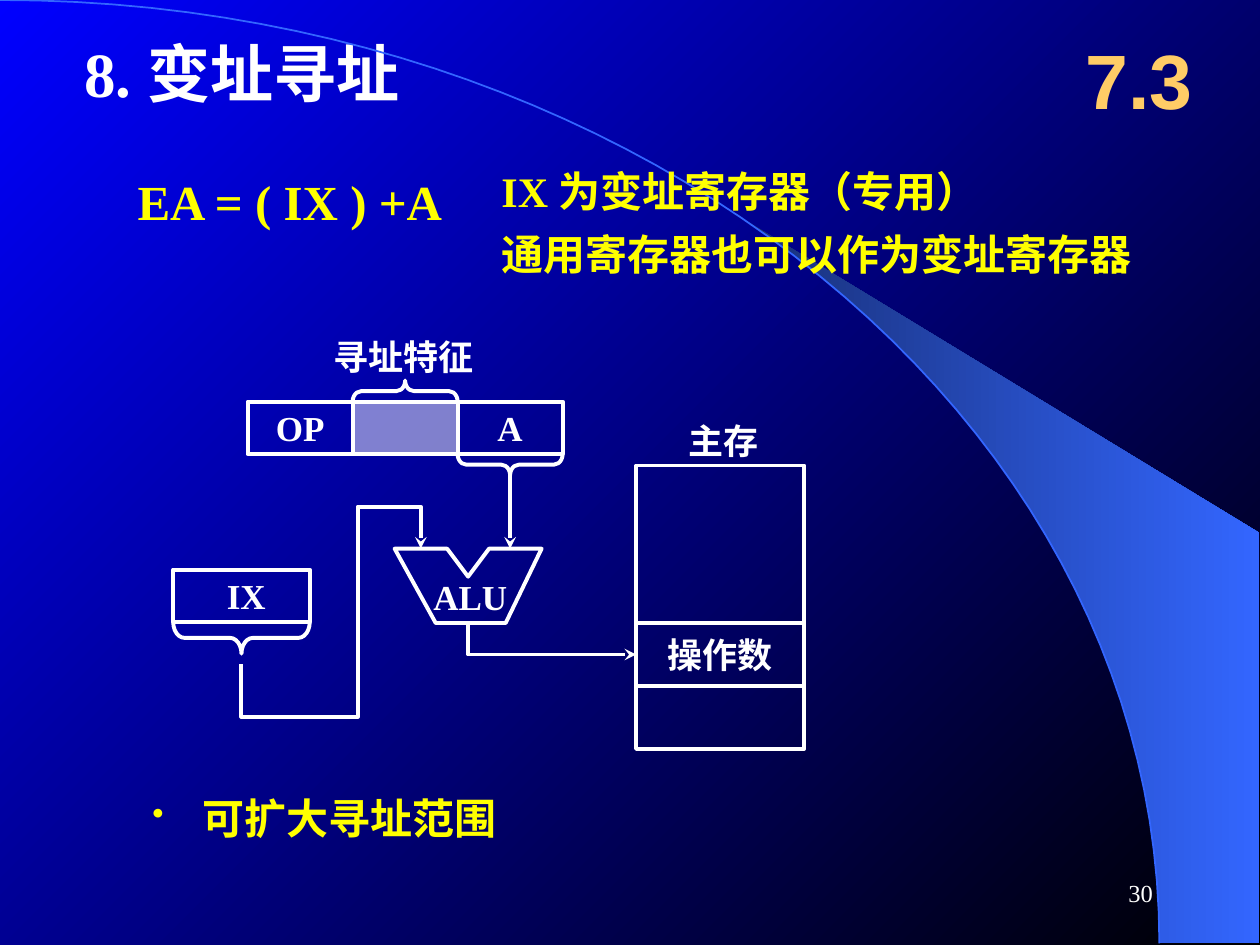
from lxml.etree import SubElement as Sub
from pptx import Presentation
from pptx.dml.color import RGBColor as Rgb
from pptx.enum.shapes import MSO_CONNECTOR as Con, MSO_SHAPE as Geo
from pptx.enum.text import MSO_ANCHOR as Anc, MSO_AUTO_SIZE as Auto, PP_ALIGN as Al
from pptx.oxml.ns import qn
from pptx.util import Pt

SERIF, WHITE, YELLOW, BLUE = "Times New Roman", "FFFFFF", "FFFF00", "3366FF"
TITLE = ("8. 变址寻址", 41, 16, 263, 50, dict(size=36))
NOTES = [
    ("EA = ( IX ) +A", 71.5, 94.5, 190, 41, dict(size=28, color=YELLOW, wrap=False)),
    ("IX 为变址寄存器（专用）", 279.5, 94.5, 402, 33, dict(size=24, color=YELLOW, space=0.9)),
    ("通用寄存器也可以作为变址寄存器", 279.5, 130.5, 402, 33, dict(size=24, color=YELLOW, space=0.9)),
    ("可扩大寻址范围", 80, 449.5, 271, 36, dict(size=24, color=YELLOW, bullet="•")),
    ("7.3", 606, 12, 90, 66, dict(size=44, color="FFCC66", font="Arial", align=Al.CENTER, anchor=Anc.MIDDLE)),
    ("30", 516, 492, 150, 36, dict(size=14, bold=False, align=Al.RIGHT, anchor=Anc.MIDDLE)),
]
LABELS = [
    ("主存", 386.5, 236, 54, 32),
    ("寻址特征", 183.5, 188, 94, 32),
    ("ALU", 240.5, 325.5, 57, 32),
    ("IX", 122.5, 324.5, 37, 32),
]
FIELDS, FX, FY, FW, FH = ["OP", "", "A"], 141.5, 229.5, 60, 30
CELLS, MX, MY, MW = [("", 90), ("操作数", 36), ("", 36)], 363.5, 266, 96
IX = (99, 325.5, 78, 30)
ALU = [(225.5, 313.5), (255.5, 313.5), (267.5, 329.5), (279.5, 313.5),
       (309.5, 313.5), (289, 356), (249, 356)]
WIRES = [
    [(267.5, 356), (267.5, 374), (MX, 374)],
    [(138, 379.5), (138, 409.5), (204.5, 409.5), (204.5, 289.5), (240.5, 289.5), (240.5, 313.5)],
]
CURVE = [(0, 0), (366, 0), (662.5, 241), (662.5, 539)]
STEPS, START = 50, 22
EDGE = [(719.5, 539), (719.5, 304.5)]


def rgb(code):
    return Rgb.from_string(code)


def blend(fill, first, last, angle):
    fill.gradient()
    fill.gradient_angle = angle
    for stop, code in zip(fill.gradient_stops, (first, last)):
        stop.color.rgb = rgb(code)


def write(shape, text, size=20, color=WHITE, font=SERIF, bold=True, wrap=True,
          align=Al.LEFT, anchor=Anc.TOP, space=None, bullet=None):
    frame = shape.text_frame
    look = dict(auto_size=Auto.NONE, word_wrap=wrap, vertical_anchor=anchor,
                margin_left=Pt(7.2), margin_right=Pt(7.2),
                margin_top=Pt(3.6), margin_bottom=Pt(3.6))
    for key, value in look.items():
        setattr(frame, key, value)
    frame.text = text
    para = frame.paragraphs[0]
    para.alignment, para.line_spacing = align, space
    if bullet:
        props = para._p.get_or_add_pPr()
        props.set("marL", str(Pt(28.5)))
        props.set("indent", str(-Pt(28.5)))
        tint = Sub(props, qn("a:buClr"))
        Sub(tint, qn("a:srgbClr"), val=color)
        Sub(props, qn("a:buSzPct"), val="80000")
        Sub(props, qn("a:buChar"), char=bullet)
    for key, value in dict(name=font, size=Pt(size), bold=bold).items():
        setattr(para.runs[0].font, key, value)
    para.runs[0].font.color.rgb = rgb(color)


def note(text, x, y, w, h, look):
    write(shapes.add_textbox(Pt(x), Pt(y), Pt(w), Pt(h)), text, **look)


def stroke(shape, color=WHITE, width=2.25, arrow=False):
    shape.line.color.rgb = rgb(color)
    shape.line.width = Pt(width)
    if arrow:
        Sub(shape._element.spPr.find(qn("a:ln")), qn("a:tailEnd"), type="stealth")


def outline(shape, **look):
    shape.shadow.inherit = False
    shape.fill.background()
    stroke(shape, **look)
    return shape


def box(x, y, w, h, text="", geo=Geo.RECTANGLE):
    shape = outline(shapes.add_shape(geo, Pt(x), Pt(y), Pt(w), Pt(h)))
    if text:
        write(shape, text, wrap=False, align=Al.CENTER, anchor=Anc.MIDDLE)
    return shape


def brace(x, y, span, depth, turn):
    shape = box(x + (span - depth) / 2, y + (depth - span) / 2, depth, span, geo=Geo.LEFT_BRACE)
    shape.rotation = turn
    shape.adjustments[0] = span / 12 / depth


def trace(points, close=False):
    spots = [(Pt(x), Pt(y)) for x, y in points]
    form = shapes.build_freeform(*spots[0])
    form.add_line_segments(spots[1:], close=close)
    return form.convert_to_shape()


def bend(t):
    parts = [(1 - t) ** 3, 3 * t * (1 - t) ** 2, 3 * t * t * (1 - t), t ** 3]
    return tuple(sum(k * p[i] for k, p in zip(parts, CURVE)) for i in (0, 1))


deck = Presentation()
deck.slide_width, deck.slide_height = Pt(720), Pt(540)
slide = deck.slides.add_slide(deck.slide_layouts[5])
shapes = slide.shapes
blend(slide.background.fill, "0000FF", "000000", 315)

arc = [bend(i / STEPS) for i in range(STEPS + 1)]
sweep = trace(arc[START:] + EDGE, close=True)
sweep.shadow.inherit = False
sweep.line.fill.background()
blend(sweep.fill, "182F76", BLUE, 0)
outline(trace(arc), color=BLUE, width=1)

text, *place, look = TITLE
head = shapes.title
head.left, head.top, head.width, head.height = map(Pt, place)
write(head, text, **look)

for i, name in enumerate(FIELDS):
    field = box(FX + i * FW, FY, FW, FH, name)
    if not name:
        field.fill.solid()
        field.fill.fore_color.rgb = rgb(WHITE)
        shade = field._element.spPr.find(qn("a:solidFill")).find(qn("a:srgbClr"))
        Sub(shade, qn("a:alpha"), val="50000")

top = MY
for name, high in CELLS:
    box(MX, top, MW, high, name)
    top += high
box(*IX)
outline(trace(ALU, close=True))

brace(FX + FW, FY - 12, FW, 12, 90)
brace(FX + 2 * FW, FY + FH, FW, 12, 270)
brace(IX[0], IX[1] + IX[3], IX[2], 18, 270)

for wire in WIRES:
    outline(trace(wire), arrow=True)
mid = Pt(FX + 2.5 * FW)
drop = shapes.add_connector(Con.STRAIGHT, mid, Pt(FY + FH + 12), mid, Pt(ALU[0][1]))
stroke(drop, arrow=True)
Sub(drop._element.spPr, qn("a:effectLst"))

for label in LABELS:
    note(*label, dict(wrap=False))
for item in NOTES:
    note(*item)

deck.save("out.pptx")
